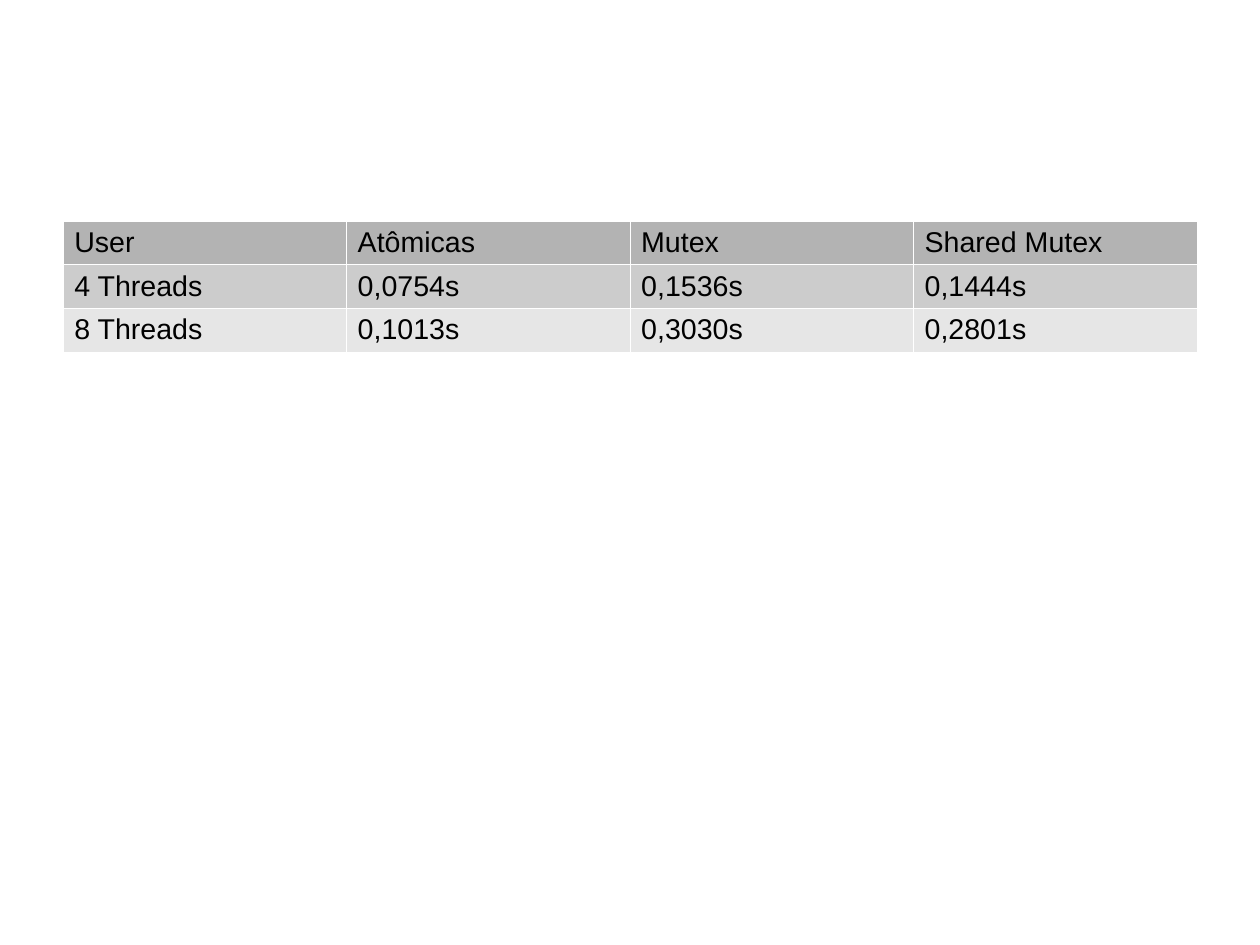
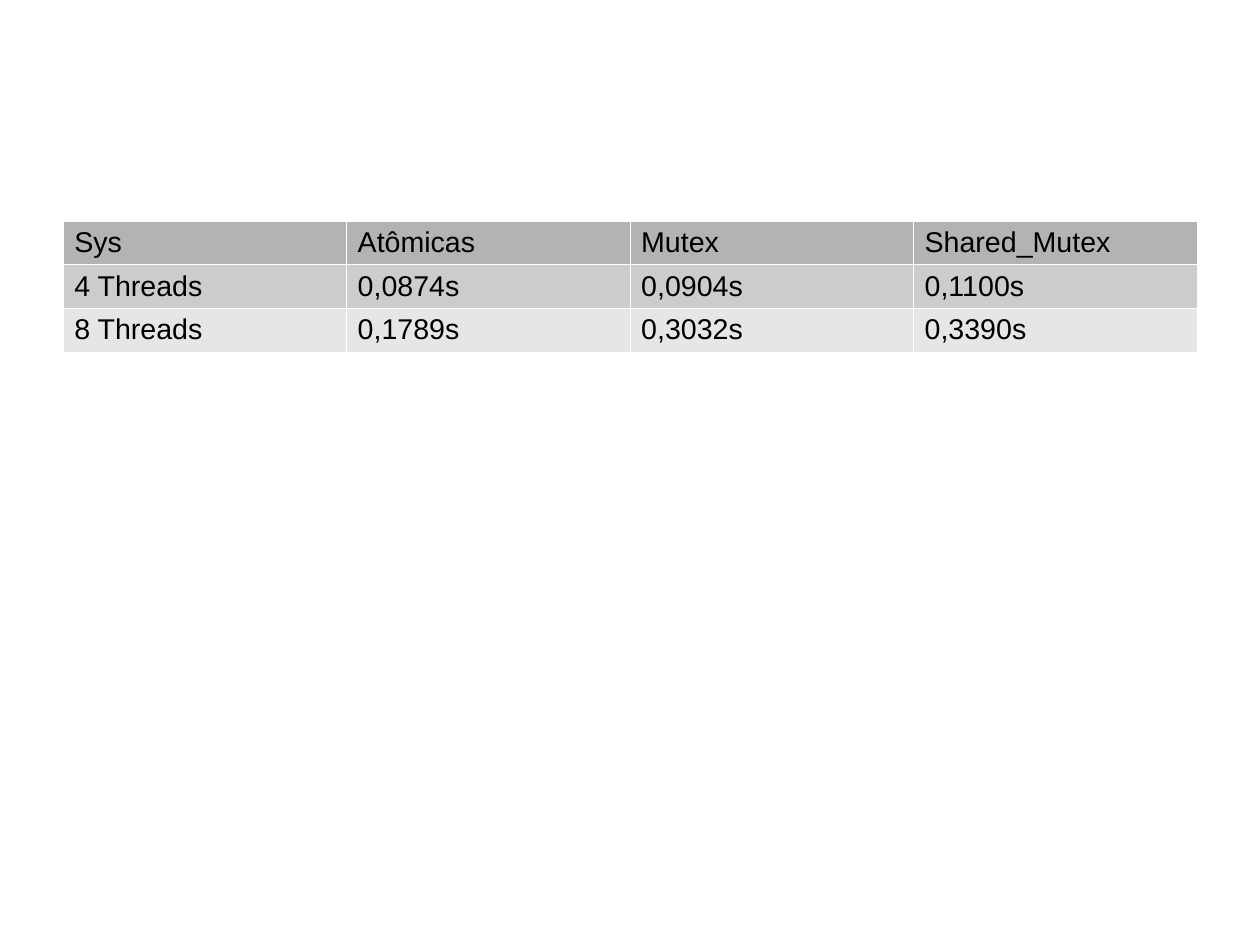
"""Build two slides that compare thread timings in tables."""
from lxml.etree import SubElement as Sub
from pptx import Presentation as Deck
from pptx.dml.color import RGBColor as RGB
from pptx.oxml.ns import qn
from pptx.util import Inches, Pt

BLACK = RGB(0x00, 0x00, 0x00)
WHITE = RGB(0xFF, 0xFF, 0xFF)
HEAD = RGB(0xB3, 0xB3, 0xB3)
DARK = RGB(0xCC, 0xCC, 0xCC)
LIGHT = RGB(0xE6, 0xE6, 0xE6)
FILLS = [HEAD, DARK, LIGHT]
FONT = "Arial"
SIZE = Pt(18)
EDGE = Pt(0.06)
PAGE_W, PAGE_H = Inches(28 / 2.54), Inches(21 / 2.54)
LEFT, TOP = Inches(0.55), Inches(1.93)
WIDE, HIGH = Inches(9.92), Inches(1.15)

USER = [
    ["User", "Atômicas", "Mutex", "Shared Mutex"],
    ["4 Threads", "0,0754s", "0,1536s", "0,1444s"],
    ["8 Threads", "0,1013s", "0,3030s", "0,2801s"],
]
SYS = [
    ["Sys", "Atômicas", "Mutex", "Shared_Mutex"],
    ["4 Threads", "0,0874s", "0,0904s", "0,1100s"],
    ["8 Threads", "0,1789s", "0,3032s", "0,3390s"],
]


def add_edges(cell):
    """Draw a thin white line on each side of a cell."""
    props = cell._tc.get_or_add_tcPr()
    for side in ("lnL", "lnR", "lnT", "lnB"):
        line = Sub(props, qn(f"a:{side}"), w=str(int(EDGE)))
        Sub(Sub(line, qn("a:solidFill")), qn("a:srgbClr"), val=str(WHITE))


def fill_cell(cell, text, color):
    """Set the edges, fill and text of a cell."""
    add_edges(cell)
    cell.fill.solid()
    cell.fill.fore_color.rgb = color
    run = cell.text_frame.paragraphs[0].add_run()
    run.text = text
    run.font.name = FONT
    run.font.size = SIZE
    run.font.bold = False
    run.font.color.rgb = BLACK


def add_grid(slide, data):
    """Add a table with equal columns and one fill for each row."""
    frame = slide.shapes.add_table(
        len(data), len(data[0]), LEFT, TOP, WIDE, HIGH)
    for row, texts, color in zip(frame.table.rows, data, FILLS):
        for cell, text in zip(row.cells, texts):
            fill_cell(cell, text, color)


def main():
    """Make the deck and save it."""
    deck = Deck()
    deck.slide_width = PAGE_W
    deck.slide_height = PAGE_H
    for data in (USER, SYS):
        slide = deck.slides.add_slide(deck.slide_layouts[6])
        add_grid(slide, data)
    deck.save("out.pptx")


if __name__ == "__main__":
    main()
